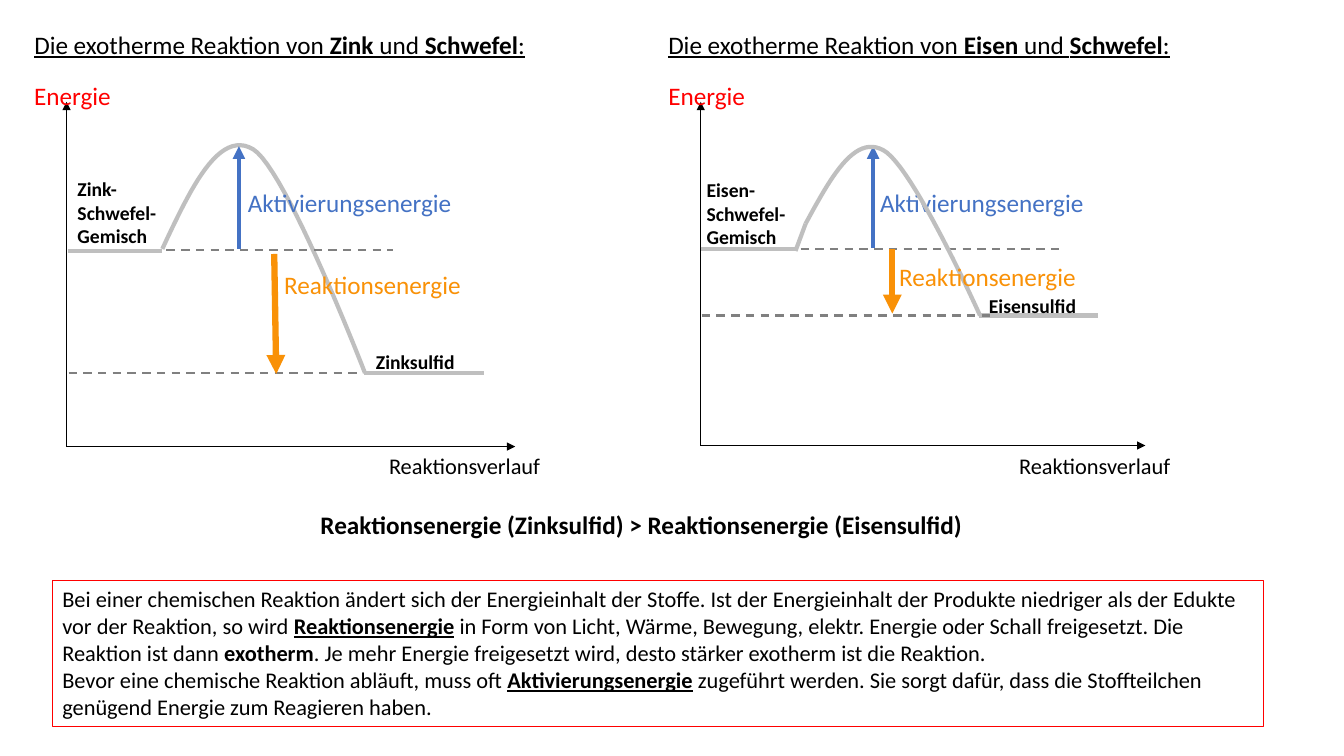
"""Build a slide comparing two exothermic reactions in energy diagrams."""
from lxml import etree
from pptx import Presentation
from pptx.dml.color import RGBColor
from pptx.enum.dml import MSO_LINE
from pptx.enum.shapes import MSO_CONNECTOR, MSO_SHAPE
from pptx.enum.text import MSO_ANCHOR, MSO_AUTO_SIZE, PP_ALIGN
from pptx.oxml.ns import qn
from pptx.util import Inches, Pt

STRAIGHT = MSO_CONNECTOR.STRAIGHT
RECT = MSO_SHAPE.RECTANGLE
DASH = MSO_LINE.DASH
TOP = MSO_ANCHOR.TOP
LEFT = PP_ALIGN.LEFT
GROW = MSO_AUTO_SIZE.SHAPE_TO_FIT_TEXT
FIXED = MSO_AUTO_SIZE.NONE

BLACK, RED, BLUE, AMBER = "000000", "FF0000", "4472C4", "F99107"
PEAK = 1.45
STEPS = 24

STYLES = {
    "axis": (BLACK, 0.5, False, True),
    "curve": ("BFBFBF", 3, False, False),
    "level": ("808080", 1.5, True, False),
    "act": (BLUE, 3, False, True),
    "react": (AMBER, 4.5, False, True),
}

PANELS = [
    {
        "metal": "Zink", "x": 0.66, "end": 5.11, "base": 4.43,
        "order": ("axes", "curve", "react", "act"),
        "flat": [(0.67, 2.49, 1.61, 2.49), (3.61, 3.7, 4.8, 3.7)],
        "hill": [(1.61, 2.47), (1.89, 1.87), (2.17, 1.28), (2.51, 1.48),
                 (2.84, 1.68), (3.62, 3.7), (3.62, 3.7)],
        "mix": (0.67, 1.71, 1.25, 0.44), "salt": (3.63, 3.42, 1.18, 0.26),
        "react": ((2.72, 2.52, 2.74, 3.71), (0.68, 3.7, 3.6, 3.7),
                  (2.72, 2.62, 2.26, 0.3)),
        "act": ((2.37, 2.47, 2.37, PEAK), (1.65, 2.48, 3.9, 2.48),
                (2.36, 1.81, 2.32, 0.4)),
    },
    {
        "metal": "Eisen", "x": 6.95, "end": 11.36, "base": 4.42,
        "order": ("act", "axes", "curve", "react"),
        "flat": [(6.95, 2.47, 7.89, 2.47), (7.89, 2.49, 7.99, 2.22),
                 (9.71, 3.13, 10.89, 3.13)],
        "hill": [(7.99, 2.22), (8.23, 1.78), (8.47, 1.33), (8.76, 1.49),
                 (9.05, 1.64), (9.72, 3.13), (9.72, 3.13)],
        "mix": (6.91, 1.72, 1.36, 0.44), "salt": (9.71, 2.87, 1.17, 0.26),
        "react": ((8.85, 2.47, 8.85, 3.11), (6.96, 3.13, 9.85, 3.13),
                  (8.82, 2.54, 2.24, 0.3)),
        "act": ((8.66, 2.46, 8.66, PEAK), (7.94, 2.47, 10.54, 2.47),
                (8.63, 1.81, 2.4, 0.31)),
    },
]
NAMES = {"react": ("Reaktionsenergie", AMBER), "act": ("Aktivierungsenergie", BLUE)}
RESULT = "Reaktionsenergie (Zinksulfid) > Reaktionsenergie (Eisensulfid)"
NOTE = [
    [("Bei einer chemischen Reaktion ändert sich der Energieinhalt der Stoffe. "
      "Ist der Energieinhalt der Produkte niedriger als der Edukte vor der "
      "Reaktion, so wird ", ""),
     ("Reaktionsenergie", "bu"),
     (" in Form von Licht, Wärme, Bewegung, elektr. Energie oder Schall "
      "freigesetzt. Die Reaktion ist dann ", ""),
     ("exotherm", "b"),
     (". Je mehr Energie freigesetzt wird, desto stärker exotherm ist die "
      "Reaktion.", "")],
    [("Bevor eine chemische Reaktion abläuft, muss oft ", ""),
     ("Aktivierungsenergie", "bu"),
     (" zugeführt werden. Sie sorgt dafür, dass die Stoffteilchen genügend "
      "Energie zum Reagieren haben.", "")],
]


def paint(code):
    return RGBColor.from_string(code)


def write(frame, paras, size, color=BLACK):
    frame.word_wrap = True
    for i, parts in enumerate(paras):
        para = frame.add_paragraph() if i else frame.paragraphs[0]
        para.alignment = LEFT
        for text, marks in parts:
            run = para.add_run()
            run.text = text
            font = run.font
            font.name, font.size = "Calibri", Pt(size)
            font.color.rgb = paint(color)
            font.bold, font.underline = "b" in marks, "u" in marks


def label(slide, box, parts, size, color=BLACK):
    frame = slide.shapes.add_textbox(*map(Inches, box)).text_frame
    write(frame, [parts], size, color)
    frame.auto_size = GROW


def stroke(slide, kind, ends):
    color, width, dash, arrow = STYLES[kind]
    wire = slide.shapes.add_connector(STRAIGHT, *map(Inches, ends))
    wire.line.color.rgb = paint(color)
    wire.line.width = Pt(width)
    if dash:
        wire.line.dash_style = DASH
    if arrow:
        tip = etree.SubElement(wire.line._get_or_add_ln(), qn("a:tailEnd"))
        tip.set("type", "triangle")
    etree.SubElement(wire._element.spPr, qn("a:effectLst"))


def bezier(a, b, c, d):
    for i in range(1, STEPS + 1):
        t = i / STEPS
        s = 1 - t
        yield tuple(Inches(s**3 * p + 3 * s * s * t * q + 3 * s * t * t * r + t**3 * e)
                    for p, q, r, e in zip(a, b, c, d))


def draw_hill(slide, knots):
    path = slide.shapes.build_freeform(*map(Inches, knots[0]))
    for i in range(0, len(knots) - 1, 3):
        path.add_line_segments(list(bezier(*knots[i:i + 4])), close=False)
    hill = path.convert_to_shape()
    color, width = STYLES["curve"][:2]
    hill.fill.background()
    hill.line.color.rgb = paint(color)
    hill.line.width = Pt(width)
    hill.shadow.inherit = False


def draw_panel(slide, panel):
    x, end, base, metal = (panel[k] for k in ("x", "end", "base", "metal"))
    for part in panel["order"]:
        if part == "axes":
            stroke(slide, "axis", (x, base, x, 1.01))
            stroke(slide, "axis", (x, base, end, base))
            label(slide, (x - 0.42, 0.75, 1.78, 0.31), [("Energie", "")], 18, RED)
            label(slide, (end - 1.35, 4.44, 1.78, 0.37), [("Reaktionsverlauf", "")], 16)
        elif part == "curve":
            for ends in panel["flat"]:
                stroke(slide, "curve", ends)
            draw_hill(slide, panel["hill"])
            label(slide, panel["mix"], [(metal + "-Schwefel-Gemisch", "b")], 14)
            label(slide, panel["salt"], [(metal + "sulfid", "b")], 14)
        else:
            arrow, level, box = panel[part]
            name, color = NAMES[part]
            stroke(slide, "level", level)
            stroke(slide, part, arrow)
            label(slide, box, [(name, "")], 18, color)


def head(panel):
    return [("Die exotherme Reaktion von ", "u"), (panel["metal"], "bu"),
            (" und ", "u"), ("Schwefel", "bu"), (":", "u")]


def main():
    deck = Presentation()
    deck.slide_width, deck.slide_height = Inches(13.33), Inches(7.5)
    slide = deck.slides.add_slide(deck.slide_layouts[5])
    first, last = PANELS
    title = slide.shapes.title
    title.left, title.top, title.width, title.height = map(Inches, (0.24, 0.24, 6.73, 0.4))
    write(title.text_frame, [head(first)], 18)
    title.text_frame.vertical_anchor = TOP
    title.text_frame.auto_size = FIXED
    label(slide, (last["x"] - 0.42, 0.24, 6.73, 0.4), head(last), 18)
    for panel in PANELS:
        draw_panel(slide, panel)
    note = slide.shapes.add_shape(RECT, *map(Inches, (0.52, 5.76, 12.01, 1.45)))
    note.shadow.inherit = False
    note.fill.background()
    note.line.color.rgb = paint(RED)
    note.line.width = Pt(0.75)
    write(note.text_frame, NOTE, 16)
    note.text_frame.vertical_anchor = TOP
    label(slide, (3.08, 5, 7.18, 0.4), [(RESULT, "b")], 18)
    deck.save("out.pptx")


if __name__ == "__main__":
    main()
